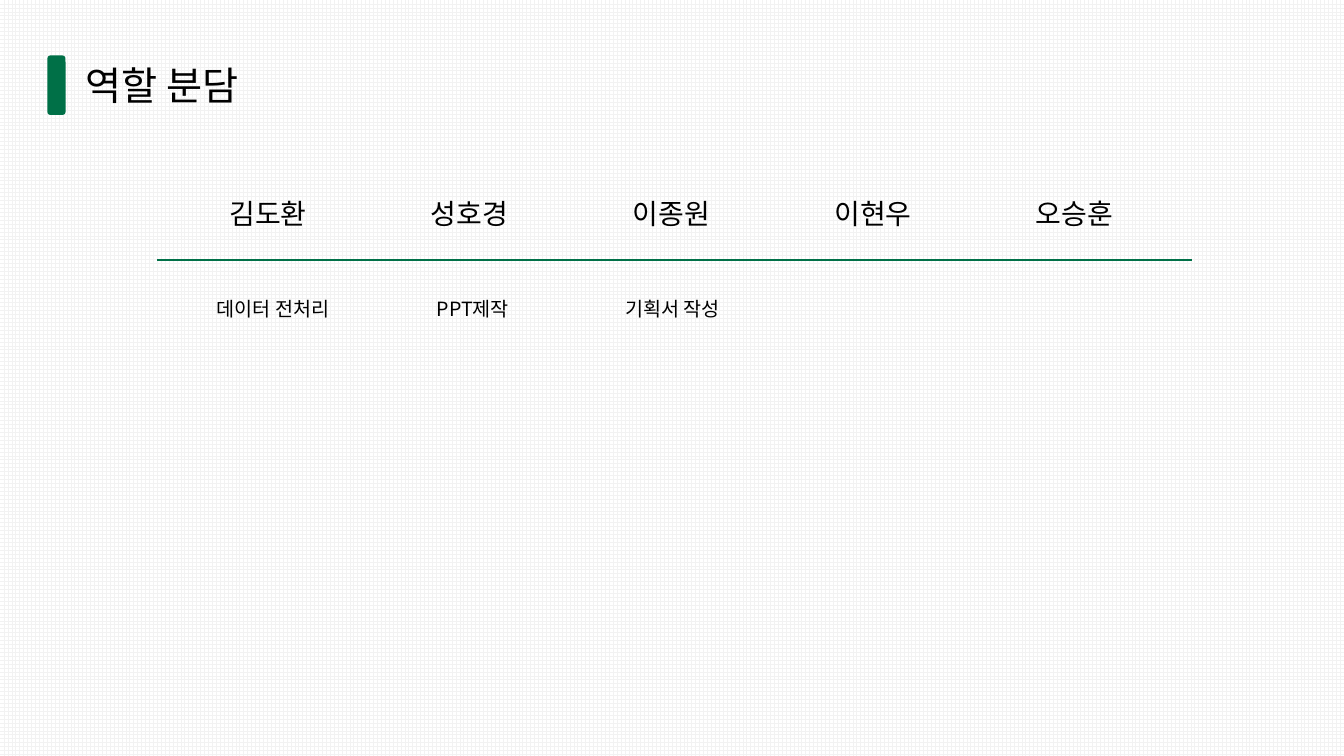
from lxml import etree
from pptx import Presentation
from pptx.dml.color import RGBColor
from pptx.enum.dml import MSO_PATTERN
from pptx.enum.shapes import MSO_CONNECTOR, MSO_SHAPE
from pptx.enum.text import MSO_AUTO_SIZE, PP_ALIGN
from pptx.oxml.ns import qn
from pptx.util import Inches, Pt

LEFT, CENTER = PP_ALIGN.LEFT, PP_ALIGN.CENTER
FIT_SHAPE = MSO_AUTO_SIZE.SHAPE_TO_FIT_TEXT

# Content
TITLE = "역할 분담"
MEMBERS = ["김도환", "성호경", "이종원", "이현우", "오승훈"]
ROLES = ["데이터 전처리", "PPT제작", "기획서 작성"]

# Style and layout, in inches
FONT = "Noto Sans CJK KR"
GREEN, BLACK, GRID, WHITE = "007047", "000000", "F2F2F2", "FFFFFF"
MEMBER_FIRST, MEMBER_PITCH = 0.75, 2.0
ROLE_LEFT, ROLE_PITCH = 1.85, 1.98


def color(hex_value):
    return RGBColor.from_string(hex_value)


def add_text(slide, text, box, size, align, tab_stops=()):
    frame = slide.shapes.add_textbox(*map(Inches, box)).text_frame
    frame.word_wrap = True
    frame.auto_size = FIT_SHAPE
    paragraph = frame.paragraphs[0]
    paragraph.alignment = align
    if tab_stops:
        tabs = etree.SubElement(paragraph._p.get_or_add_pPr(), qn("a:tabLst"))
        for stop in tab_stops:
            etree.SubElement(tabs, qn("a:tab"), pos=str(Inches(stop)), algn="ctr")
    run = paragraph.add_run()
    run.text = text
    for key, value in {"size": Pt(size), "name": FONT}.items():
        setattr(run.font, key, value)
    run.font.color.rgb = color(BLACK)
    etree.SubElement(run._r.get_or_add_rPr(), qn("a:ea"), typeface=FONT)


def main():
    prs = Presentation()
    prs.slide_width, prs.slide_height = Inches(13.33), Inches(7.5)
    slide = prs.slides.add_slide(prs.slide_layouts[6])

    # Grid background
    backdrop = slide.background.fill
    backdrop.patterned()
    backdrop.pattern = MSO_PATTERN.LARGE_GRID
    backdrop.fore_color.rgb = color(GRID)
    backdrop.back_color.rgb = color(WHITE)

    # Member names, each centred on its tab stop
    stops = [MEMBER_FIRST + i * MEMBER_PITCH for i in range(len(MEMBERS))]
    names = "".join("\t" + member for member in MEMBERS)
    add_text(slide, names, (1.81, 1.9, 9.72, 0.44), 20, LEFT, stops)

    # Title with its green marker
    add_text(slide, TITLE, (0.75, 0.56, 6.67, 0.57), 28, LEFT)
    marker = slide.shapes.add_shape(
        MSO_SHAPE.ROUNDED_RECTANGLE, *map(Inches, (0.47, 0.55, 0.18, 0.59)))
    marker.shadow.inherit = False
    marker.fill.solid()
    marker.fill.fore_color.rgb = color(GREEN)
    marker.line.fill.background()

    # Roles
    for i, role in enumerate(ROLES):
        add_text(slide, role, (ROLE_LEFT + i * ROLE_PITCH, 2.9, 1.72, 0.34), 14, CENTER)

    # Divider between names and roles
    divider = slide.shapes.add_connector(
        MSO_CONNECTOR.STRAIGHT, *map(Inches, (1.56, 2.58, 11.82, 2.58)))
    divider.line.color.rgb = color(GREEN)
    divider.line.width = Pt(1)
    etree.SubElement(divider._element.spPr, qn("a:effectLst"))

    prs.save("out.pptx")


if __name__ == "__main__":
    main()
